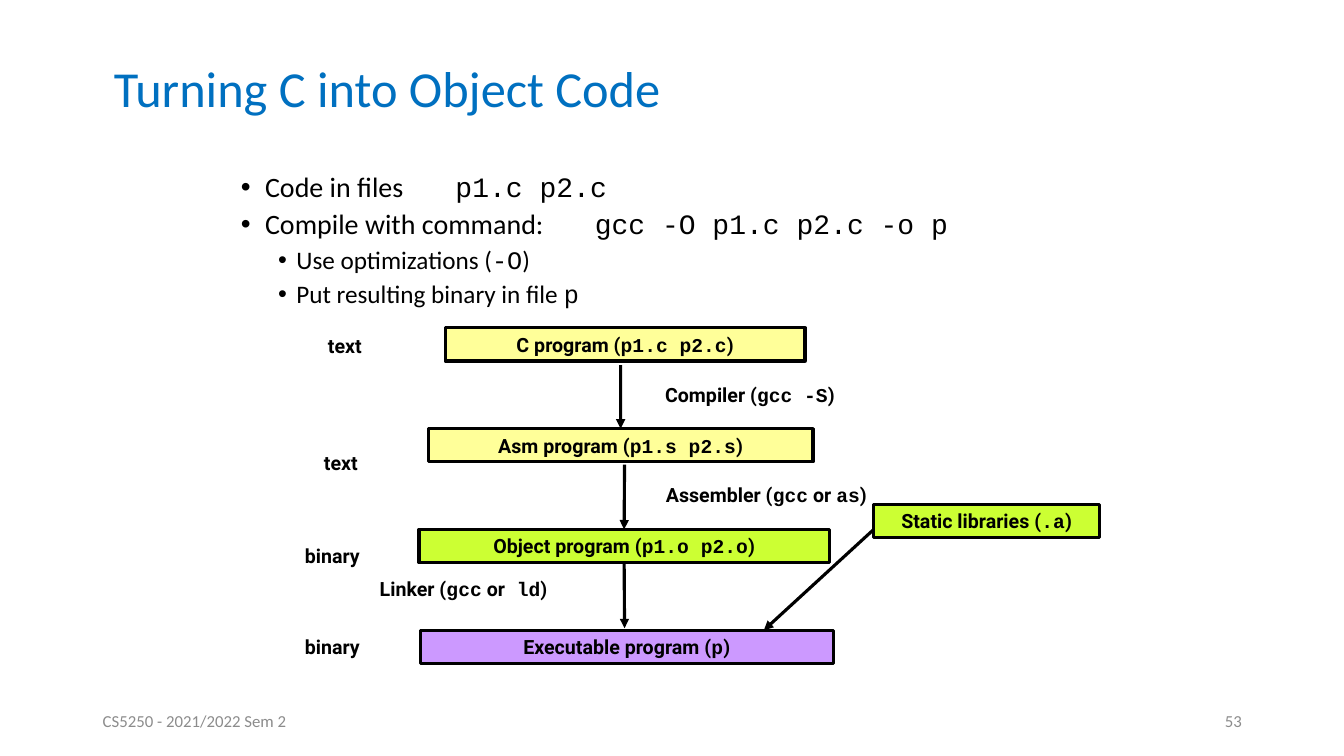
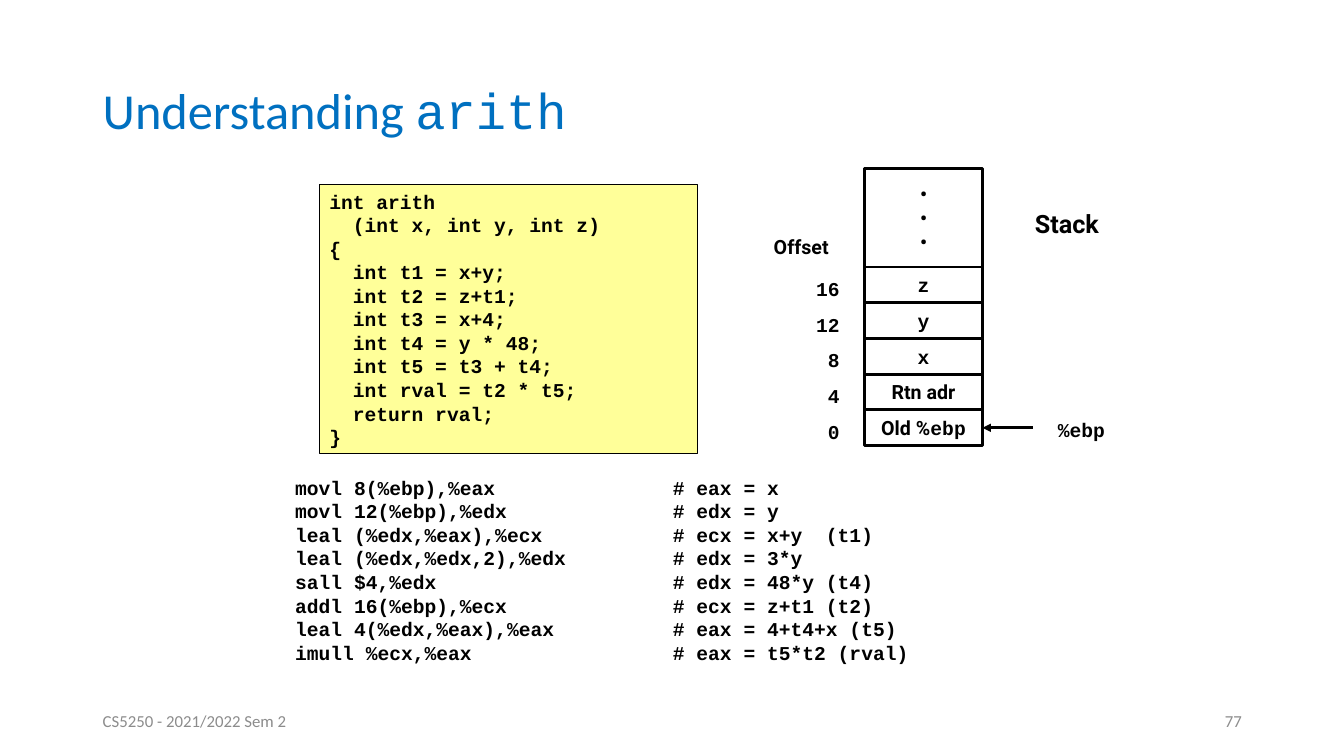
"""Build two lecture slides on compiling C and on stack frames."""
from collections import namedtuple

from lxml import etree
from pptx import Presentation
from pptx.dml.color import RGBColor
from pptx.enum.shapes import MSO_CONNECTOR, MSO_SHAPE
from pptx.enum.text import MSO_ANCHOR, PP_ALIGN
from pptx.oxml.ns import qn
from pptx.util import Cm, Pt

LEFT, CENTER, RIGHT = PP_ALIGN.LEFT, PP_ALIGN.CENTER, PP_ALIGN.RIGHT
TOP, MIDDLE = MSO_ANCHOR.TOP, MSO_ANCHOR.MIDDLE
RECTANGLE, STRAIGHT = MSO_SHAPE.RECTANGLE, MSO_CONNECTOR.STRAIGHT
SIDE_TOP, SIDE_BOTTOM, SIDE_RIGHT = 0, 2, 3

COLORS = {
    "title": "0070C0", "text": "000000", "footer": "8C8C8C", "white": "FFFFFF",
    "source": "FFFF99", "object": "CCFF33", "executable": "CC99FF",
}
Style = namedtuple("Style", "font size color bold")
Box = namedtuple("Box", "left top width height")

CODE_FONT = "Courier New"
TITLE = Style("Calibri", 36, "title", False)
FOOTER = Style("Calibri", 12, "footer", False)
BULLET = Style("Calibri", 20, "text", False)
SUB_BULLET = BULLET._replace(size=18)
LABEL = Style("Roboto", 14, "text", True)
HEADING = LABEL._replace(size=18)
CODE = LABEL._replace(font=CODE_FONT)

FOOTER_TEXT = "CS5250 - 2021/2022 Sem 2"
LINE_HEIGHT = 0.84

BULLETS = [
    (0, "Code in files \t`p1.c p2.c"),
    (0, "Compile with command: \t`gcc -O p1.c p2.c -o p"),
    (1, "Use optimizations (`-O`)"),
    (1, "Put resulting binary in file `p"),
]
BULLET_LEVELS = [(BULLET, 1.55, -0.61), (SUB_BULLET, 2.34, -0.46)]

STAGES = [
    (4.67, 9.07, "source", "C program (`p1.c p2.c`)"),
    (4.24, 9.7, "source", "Asm program (`p1.s p2.s`)"),
    (4.01, 10.34, "object", "Object program (`p1.o p2.o`)"),
    (4.04, 10.41, "executable", "Executable program (`p`)"),
]
FORMATS = [(0.05, 0.03, "text"), (-0.05, 2.97, "text"), (0, 5.31, "binary"), (0, 7.62, "binary")]
TOOLS = [
    (9.96, 1.27, "Compiler (`gcc -S`)"),
    (9.98, 3.78, "Assembler (`gcc` or `as`)"),
    (2.77, 6.15, "Linker (`gcc` or` ld`)"),
]

C_CODE = """int arith
  (int x, int y, int z)
{
  int t1 = x+y;
  int t2 = z+t1;
  int t3 = x+4;
  int t4 = y * 48;
  int t5 = t3 + t4;
  int rval = t2 * t5;
  return rval;
}"""
ASSEMBLY = [
    ("movl 8(%ebp),%eax", "# eax = x"),
    ("movl 12(%ebp),%edx", "# edx = y"),
    ("leal (%edx,%eax),%ecx", "# ecx = x+y  (t1)"),
    ("leal (%edx,%edx,2),%edx", "# edx = 3*y"),
    ("sall $4,%edx", "# edx = 48*y (t4)"),
    ("addl 16(%ebp),%ecx", "# ecx = z+t1 (t2)"),
    ("leal 4(%edx,%eax),%eax", "# eax = 4+t4+x (t5)"),
    ("imull %ecx,%eax", "# eax = t5*t2 (rval)"),
]
STACK = [("16", "`z"), ("12", "`y"), ("8", "`x"), ("4", "Rtn adr"), ("0", "Old %`ebp")]


def inside(box, left, top, width, height):
    """Return a box placed relative to another box."""
    return Box(box.left + left, box.top + top, width, height)


def fill_paragraph(para, text, style, align=LEFT):
    """Write text in which backticks switch the code font on and off."""
    para.alignment = align
    for index, part in enumerate(text.split("`")):
        if part:
            span = para.add_run()
            span.text = part
            span.font.name = CODE_FONT if index % 2 else style.font
            span.font.size = Pt(style.size)
            span.font.bold = style.bold
            span.font.color.rgb = RGBColor.from_string(COLORS[style.color])


def fill_frame(frame, text, style, align=LEFT, anchor=TOP):
    """Write each line of the text as a paragraph and return the paragraphs."""
    frame.word_wrap = True
    frame.vertical_anchor = anchor
    frame.margin_left = frame.margin_right = Cm(0.25)
    frame.margin_top = frame.margin_bottom = Cm(0.13)
    for index, line in enumerate(text.split("\n")):
        para = frame.add_paragraph() if index else frame.paragraphs[0]
        fill_paragraph(para, line, style, align)
    return frame.paragraphs


def add_text(page, box, text, style, align=LEFT, anchor=TOP):
    """Add a text box and return its paragraphs."""
    shape = page.shapes.add_textbox(*map(Cm, box))
    return fill_frame(shape.text_frame, text, style, align, anchor)


def add_box(page, box, fill, weight, text, style=LABEL, align=CENTER, anchor=MIDDLE):
    """Add a filled and outlined rectangle with text."""
    shape = page.shapes.add_shape(RECTANGLE, *map(Cm, box))
    shape.shadow.inherit = False
    shape.fill.solid()
    shape.fill.fore_color.rgb = RGBColor.from_string(COLORS[fill])
    shape.line.color.rgb = RGBColor.from_string(COLORS["text"])
    shape.line.width = Pt(weight)
    fill_frame(shape.text_frame, text, style, align, anchor)
    return shape


def add_arrow(page, box, start, end, weight):
    """Add an arrow between two points given relative to a box."""
    points = [Cm(origin + offset) for point in (start, end)
              for origin, offset in zip((box.left, box.top), point)]
    arrow = page.shapes.add_connector(STRAIGHT, *points)
    arrow.line.color.rgb = RGBColor.from_string(COLORS["text"])
    arrow.line.width = Pt(weight)
    properties = arrow.element.spPr
    etree.SubElement(properties.find(qn("a:ln")), qn("a:tailEnd"), type="triangle")
    etree.SubElement(properties, qn("a:effectLst"))
    return arrow


def set_tabs(para, stops):
    """Give a paragraph left tab stops."""
    tabs = etree.SubElement(para._p.get_or_add_pPr(), qn("a:tabLst"))
    for stop in stops:
        etree.SubElement(tabs, qn("a:tab"), pos=str(Cm(stop)), algn="l")


def set_bullet(para, left, hanging):
    """Give a paragraph a round bullet with a hanging indent."""
    properties = para._p.get_or_add_pPr()
    properties.set("marL", str(Cm(left)))
    properties.set("indent", str(Cm(hanging)))
    etree.SubElement(properties, qn("a:buFont"), typeface="Arial")
    etree.SubElement(properties, qn("a:buChar"), char="•")


def add_page(deck, title, title_box, number):
    """Add a blank slide with its title, footer and number."""
    page = deck.slides.add_slide(deck.slide_layouts[6])
    add_text(page, title_box, title, TITLE, anchor=MIDDLE)[0].line_spacing = 0.9
    for left, text, align in ((2.34, FOOTER_TEXT, LEFT), (23.93, str(number), RIGHT)):
        add_text(page, Box(left, 17.65, 7.62, 1.02), text, FOOTER, align, MIDDLE)
    return page


def add_bullets(page, box):
    """Add the bulleted list with its tabbed commands."""
    frame = page.shapes.add_textbox(*map(Cm, box)).text_frame
    frame.word_wrap = True
    for index, (level, text) in enumerate(BULLETS):
        para = frame.add_paragraph() if index else frame.paragraphs[0]
        style, left, hanging = BULLET_LEVELS[level]
        para.level = level
        set_bullet(para, left, hanging)
        set_tabs(para, (6.35, 9.86))
        para.line_spacing = 0.9
        para.space_before = Pt(5 if index else 0)
        fill_paragraph(para, text, style)


def add_build_flow(page, box):
    """Add the flow from C program to executable."""
    pitch = 2.54
    for shift, top, text in FORMATS:
        add_text(page, inside(box, shift, top, 2.77, LINE_HEIGHT), text, LABEL, RIGHT)
    for left, top, text in TOOLS:
        add_text(page, inside(box, left, top, 7.34, LINE_HEIGHT), text, LABEL)
    _, assembly, objects, _ = [
        add_box(page, inside(box, left, row * pitch, width, LINE_HEIGHT), fill, 2.25, text)
        for row, (left, width, fill, text) in enumerate(STAGES)
    ]
    add_box(page, inside(box, 15.47, 4.45, 5.69, LINE_HEIGHT), "object", 2.25,
            "Static libraries (`.a`)")
    compiling, assembling, linking, _ = [
        add_arrow(page, box, start, end, 2.25) for start, end in (
            ((9.09, 0.94), (9.09, pitch)),
            ((9.19, 3.45), (9.19, 2 * pitch)),
            ((9.19, 5.92), (9.19, 7.57)),
            ((15.47, 5.08), (12.7, 3 * pitch)),
        )
    ]
    compiling.end_connect(assembly, SIDE_TOP)
    assembling.end_connect(objects, SIDE_TOP)
    linking.begin_connect(objects, SIDE_BOTTOM)


def add_assembly(page, box):
    """Add the assembly listing with aligned remarks."""
    lines = "\n".join(f"\t{command}\t{remark}" for command, remark in ASSEMBLY)
    for para in add_text(page, box, lines, CODE):
        set_tabs(para, (0.64, 10.16))


def add_stack(page, box):
    """Add the stack frame with its offsets and base pointer."""
    left, width, top, row_height = 2.54, 2.97, 2.49, 0.9
    add_box(page, inside(box, left, 0, width, top), "white", 2, "•\n•\n•")
    for row, (offset, content) in enumerate(STACK):
        row_top = top + row * row_height
        add_text(page, inside(box, 0.76, row_top + 0.12, 1.4, LINE_HEIGHT), offset, CODE, RIGHT)
        cell = add_box(page, inside(box, left, row_top, width, row_height), "white", 2, content)
    pointer_top = row_top + row_height / 2
    pointer = add_arrow(page, box, (6.78, pointer_top), (left + width, pointer_top), 2)
    pointer.end_connect(cell, SIDE_RIGHT)
    for label_left, label_top, text, style in (
        (0, 1.55, "Offset", LABEL),
        (6.58, 0.89, "Stack", HEADING),
        (7.16, 6.15, "%ebp", CODE),
    ):
        add_text(page, inside(box, label_left, label_top, 2.5, LINE_HEIGHT), text, style)


def build_object_code(deck):
    """Build the slide on turning C into object code."""
    page = add_page(deck, "Turning C into Object Code", Box(2.62, 1.12, 23.29, 2.34), 53)
    add_build_flow(page, Box(6.55, 8.26, 21.16, 8.46))
    add_bullets(page, Box(4.88, 4.24, 23.09, 4.06))


def build_arith(deck):
    """Build the slide on the arith function."""
    page = add_page(deck, "Understanding `arith", Box(2.34, 1.02, 29.21, 3.68), 77)
    add_box(page, Box(8.05, 4.65, 9.53, 6.78), "source", 1, C_CODE, CODE, LEFT, TOP)
    add_assembly(page, Box(6.55, 11.86, 18.85, 5.03))
    add_stack(page, Box(19.25, 4.24, 9.66, 7))


def main():
    """Build and save the deck."""
    deck = Presentation()
    deck.slide_width, deck.slide_height = Cm(33.87), Cm(19.05)
    build_object_code(deck)
    build_arith(deck)
    deck.save("out.pptx")


if __name__ == "__main__":
    main()
